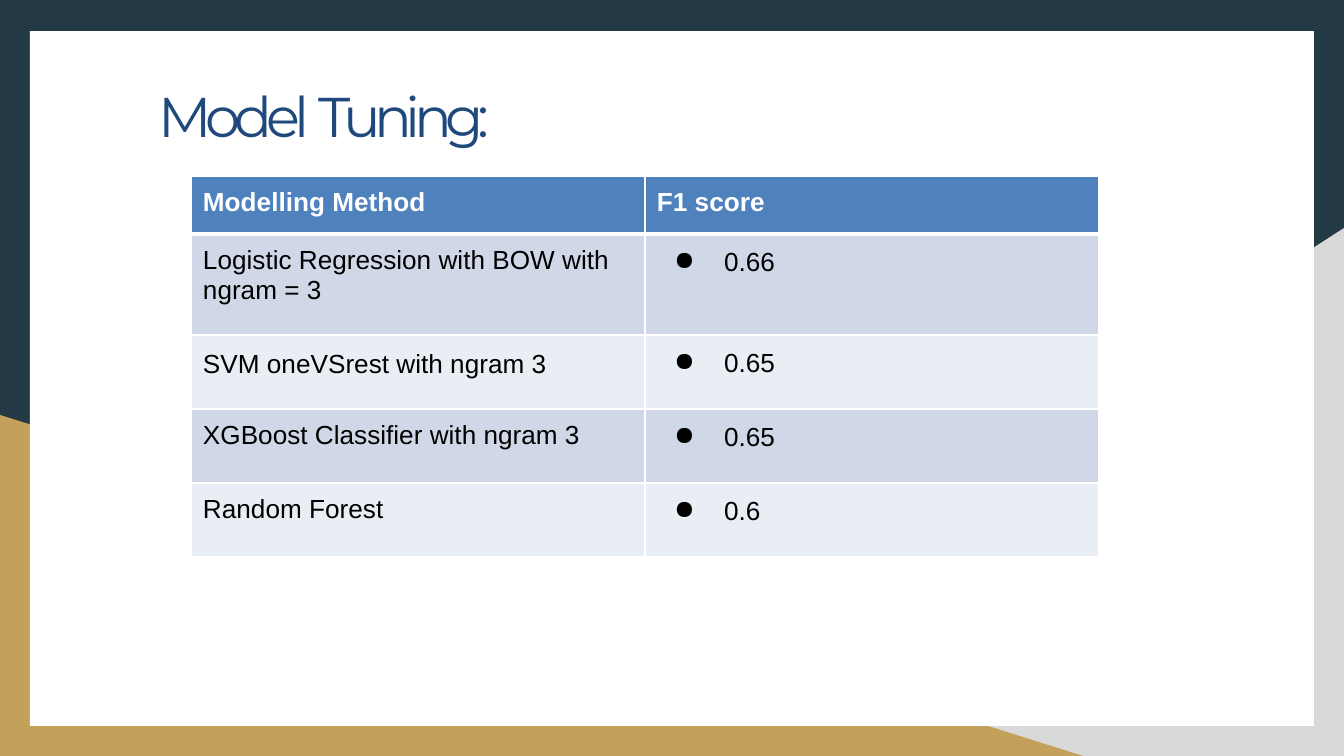
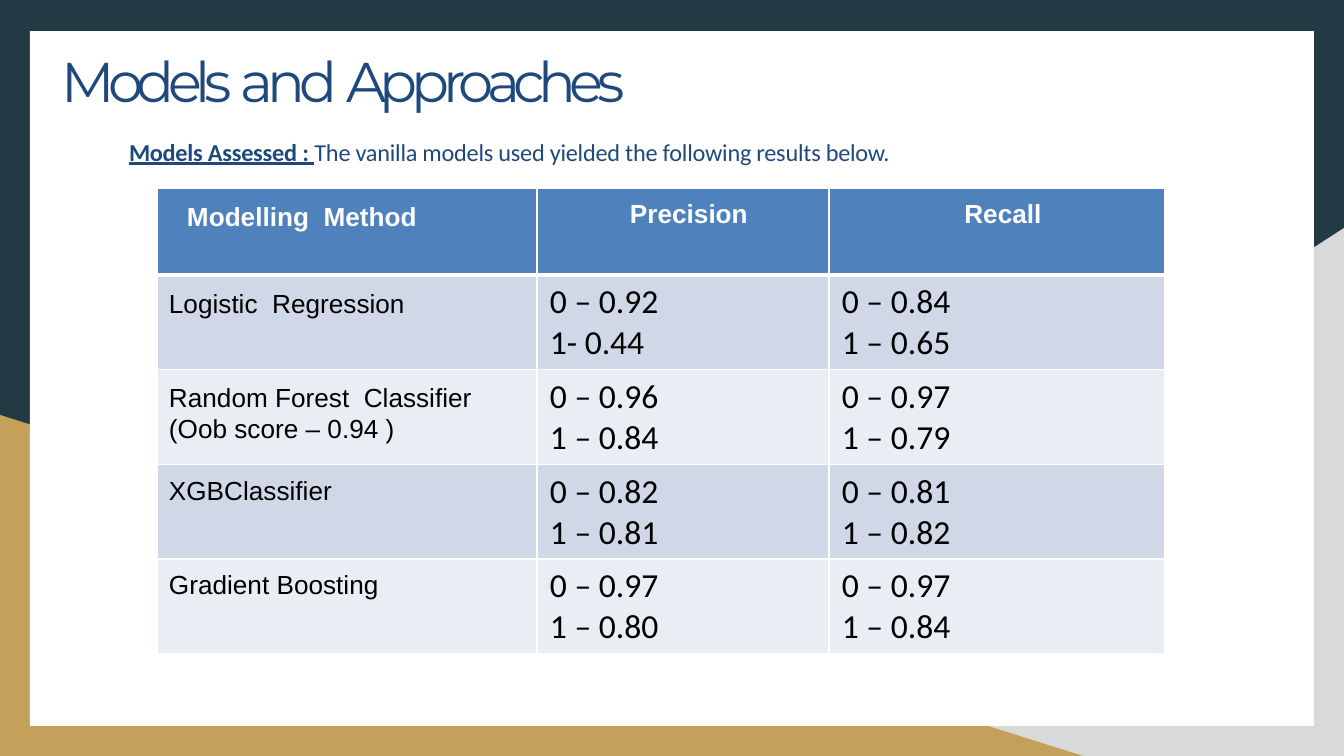
from lxml.etree import SubElement as Sub
from pptx import Presentation
from pptx.dml.color import RGBColor as RGB
from pptx.enum.shapes import MSO_SHAPE as SHAPE
from pptx.enum.text import MSO_ANCHOR as ANCHOR, MSO_AUTO_SIZE as FIT, PP_ALIGN as ALIGN
from pptx.oxml.ns import qn
from pptx.util import Pt

PX = 914400 / 134.4
WIDE, HIGH = 1344, 756

NAVY = RGB(0x23, 0x39, 0x44)
GREY = RGB(0xD9, 0xD9, 0xD9)
GOLD = RGB(0xC4, 0xA1, 0x5A)
WHITE = RGB(0xFF, 0xFF, 0xFF)
BLACK = RGB(0, 0, 0)
INK = RGB(0x1F, 0x49, 0x7D)
BLUE = RGB(0x4F, 0x81, 0xBD)
BANDS = [RGB(0xD0, 0xD8, 0xE8), RGB(0xE9, 0xED, 0xF4)]

FRAME = [
    (NAVY, [(0, 0), (WIDE, HIGH)]),
    (GREY, [(WIDE, HIGH), (527, HIGH), (WIDE, 228)]),
    (GOLD, [(1083, HIGH), (0, HIGH), (0, 415)]),
    (WHITE, [(30, 31), (1314, 726)]),
]

TITLE = dict(name="Montserrat", size=Pt(30), bold=False, color=INK)
NOTE = dict(name="Calibri", size=Pt(13), color=INK)
LABEL = dict(name="Arial", size=Pt(14), bold=False, color=BLACK)
HEAD = LABEL | dict(bold=True, color=WHITE)
SCORE = LABEL | dict(name="Calibri", size=Pt(18))

LEFT = dict(alignment=ALIGN.LEFT)
MID = dict(alignment=ALIGN.CENTER)
TALL = LEFT | dict(line_spacing=Pt(16.5))
ITEM = LEFT | dict(line_spacing=Pt(16.6))

KINDS = {
    "head": (HEAD, LEFT, (12, 12, 0, 0)),
    "lead": (HEAD, MID | TALL | MID, (12, 13, 102, 0)),
    "mid": (HEAD, MID, (12, 12, 0, 0)),
    "text": (LABEL, LEFT, (12, 12, 0, 0)),
    "tall": (LABEL, TALL, (12, 13, 40, 0)),
    "item": (LABEL, ITEM, (0, 12, 0, 0)),
    "pair": (SCORE, LEFT, (13, 7, 13, 7)),
}

PAGES = [
    dict(
        title=[("Model ", -320), ("Tuning:", -350)],
        box=(157, 54, 1086, 97), inset=28,
        spot=(191, 176), cols=[454, 454], rows=[58, 101, 74, 74, 74],
        cells=[
            [("head", "Modelling Method"), ("head", "F1 score")],
            [("text", "Logistic Regression with BOW with ngram = 3"), ("item", "0.66")],
            [("tall", "SVM oneVSrest with ngram 3"), ("item", "0.65")],
            [("text", "XGBoost Classifier with ngram 3"), ("item", "0.65")],
            [("text", "Random Forest"), ("item", "0.6")],
        ],
    ),
    dict(
        title=[("Models ", -340), ("and ", -320), ("Approaches", -340)],
        box=(60, 46, 607, 71), inset=1,
        note=[
            ("Models Assessed ", -10, True),
            (": ", 0, True),
            ("The vanilla models used yielded the following results below.", -10, False),
        ],
        spot=(157, 188), cols=[380, 292, 336], rows=[87, 94, 94, 94, 94],
        cells=[
            [("lead", "Modelling  Method"), ("mid", "Precision"), ("mid", "Recall")],
            [("tall", "Logistic  Regression"),
             ("pair", "0 – 0.92\n1- 0.44"), ("pair", "0 – 0.84\n1 – 0.65")],
            [("tall", "Random Forest  Classifier (Oob score – 0.94 )"),
             ("pair", "0 – 0.96\n1 – 0.84"), ("pair", "0 – 0.97\n1 – 0.79")],
            [("text", "XGBClassifier"),
             ("pair", "0 – 0.82\n1 – 0.81"), ("pair", "0 – 0.81\n1 – 0.82")],
            [("text", "Gradient Boosting"),
             ("pair", "0 – 0.97\n1 – 0.80"), ("pair", "0 – 0.97\n1 – 0.84")],
        ],
    ),
]


def px(num):
    return round(num * PX)


def apply(thing, form):
    for key, val in form.items():
        setattr(thing, key, val)


def write(para, text, form, space=0):
    run = para.add_run()
    run.text = text
    form = dict(form)
    run.font.color.rgb = form.pop("color")
    apply(run.font, form)
    run.font._element.set("spc", str(space))


def pad(thing, sides):
    names = ("margin_left", "margin_top", "margin_right", "margin_bottom")
    apply(thing, {name: px(side) for name, side in zip(names, sides)})


def setup(frame, top):
    apply(frame, dict(word_wrap=True, auto_size=FIT.SHAPE_TO_FIT_TEXT,
                      vertical_anchor=ANCHOR.TOP))
    pad(frame, (1, top, 0, 0))
    para = frame.paragraphs[0]
    apply(para, LEFT)
    return para


def decorate(slide, layout):
    for hold in list(layout.placeholders):
        if hold.placeholder_format.idx:
            hold.element.getparent().remove(hold.element)
    tree = layout.shapes.element
    for spot, (color, points) in enumerate(FRAME, 2):
        if len(points) == 2:
            (left, top), (right, low) = points
            shape = slide.shapes.add_shape(
                SHAPE.RECTANGLE, px(left), px(top), px(right - left), px(low - top))
        else:
            path = slide.shapes.build_freeform(*points[0], scale=PX)
            path.add_line_segments(points[1:], close=True)
            shape = path.convert_to_shape()
        shape.shadow.inherit = False
        shape.fill.solid()
        shape.fill.fore_color.rgb = color
        shape.line.fill.background()
        tree.insert(spot, shape.element)


def edge(cell, row):
    props = cell._tc.get_or_add_tcPr()
    thick = {"lnB": row == 0, "lnT": row == 1}
    for spot, side in enumerate(("lnL", "lnR", "lnT", "lnB")):
        width = 3 if thick.get(side) else 1
        line = Sub(props, qn("a:" + side), w=str(Pt(width)))
        fill = Sub(line, qn("a:solidFill"))
        Sub(fill, qn("a:srgbClr"), val=str(WHITE))
        props.insert(spot, line)


def bullet(para):
    props = para._p.get_or_add_pPr()
    props.set("marL", str(px(79)))
    props.set("indent", str(px(-50)))
    Sub(props, qn("a:buChar"), char="●")


def fill(cell, row, kind, text):
    form, layout, sides = KINDS[kind]
    cell.fill.solid()
    cell.fill.fore_color.rgb = BANDS[(row - 1) % 2] if row else BLUE
    edge(cell, row)
    pad(cell, sides)
    for num, line in enumerate(text.split("\n")):
        frame = cell.text_frame
        para = frame.add_paragraph() if num else frame.paragraphs[0]
        apply(para, layout)
        if kind == "item":
            bullet(para)
        write(para, line, form)


def grid(slide, page):
    cols, rows = page["cols"], page["rows"]
    area = (*page["spot"], sum(cols), sum(rows))
    table = slide.shapes.add_table(len(rows), len(cols), *map(px, area)).table
    table.horz_banding = False
    for col, width in zip(table.columns, cols):
        col.width = px(width)
    for num, height in enumerate(rows):
        table.rows[num].height = px(height)
        for col, (kind, text) in enumerate(page["cells"][num]):
            fill(table.cell(num, col), num, kind, text)


def place(shape, box):
    apply(shape, dict(zip(("left", "top", "width", "height"), map(px, box))))


def main():
    deck = Presentation()
    deck.slide_width, deck.slide_height = px(WIDE), px(HIGH)
    layout = deck.slide_layouts[5]
    for num, page in enumerate(PAGES):
        slide = deck.slides.add_slide(layout)
        if num == 0:
            decorate(slide, layout)
        title = slide.shapes.title
        place(title, page["box"])
        para = setup(title.text_frame, page["inset"])
        for text, space in page["title"]:
            write(para, text, TITLE, space)
        if "note" in page:
            note = slide.shapes.add_textbox(*map(px, (128, 136, 789, 31)))
            para = setup(note.text_frame, 1)
            for text, space, strong in page["note"]:
                write(para, text, NOTE | dict(bold=strong, underline=strong), space)
        grid(slide, page)
    deck.save("out.pptx")


if __name__ == "__main__":
    main()
